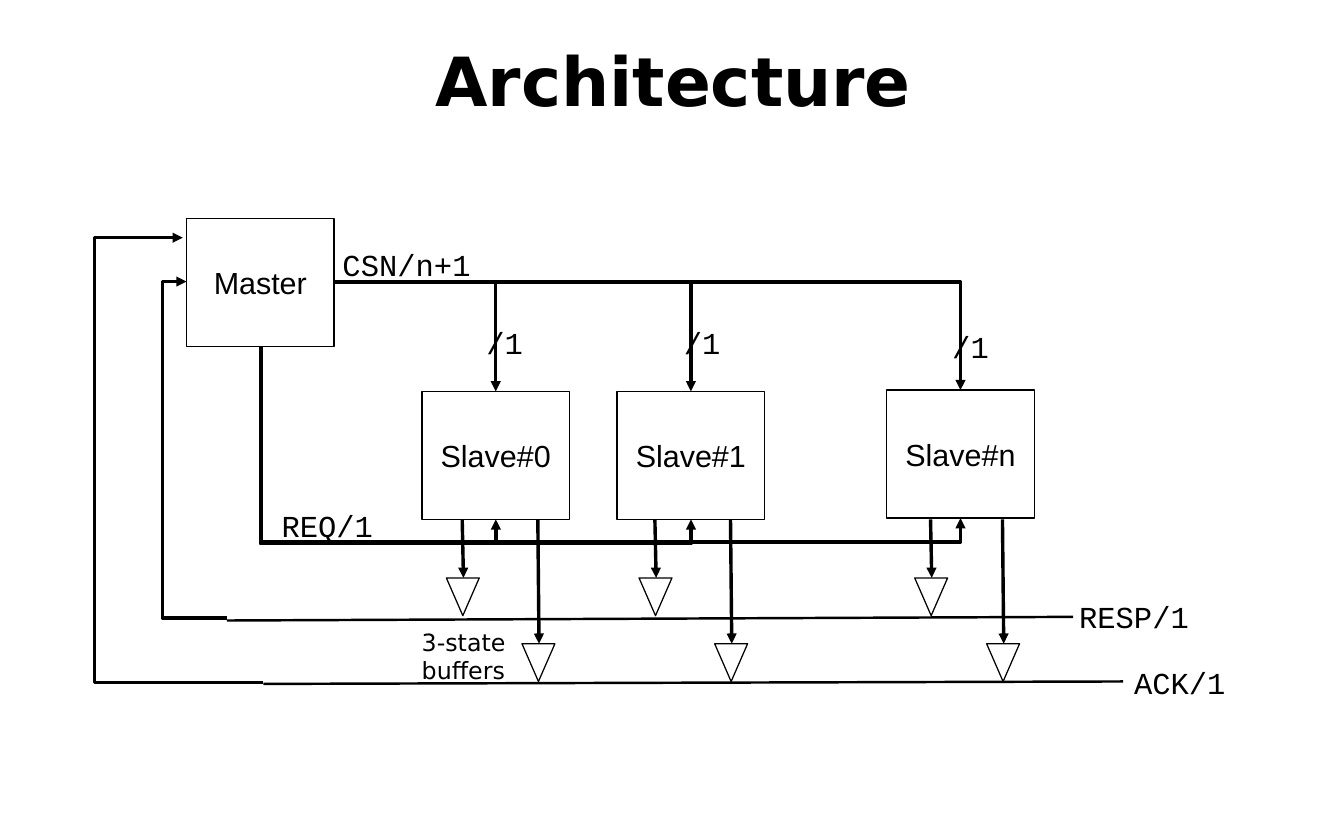
from pptx import Presentation
from pptx.dml.color import RGBColor
from pptx.enum.shapes import MSO_CONNECTOR, MSO_SHAPE
from pptx.enum.text import MSO_ANCHOR, PP_ALIGN
from pptx.oxml.ns import qn
from pptx.util import Inches, Pt
from lxml import etree

RECT, TRI = MSO_SHAPE.RECTANGLE, MSO_SHAPE.ISOSCELES_TRIANGLE
LINE, BENT = MSO_CONNECTOR.STRAIGHT, MSO_CONNECTOR.ELBOW
CENTER, MIDDLE = PP_ALIGN.CENTER, MSO_ANCHOR.MIDDLE
HEX = {"ink": "000000", "paper": "FFFFFF"}
INK, PAPER = (RGBColor.from_string(HEX[k]) for k in ("ink", "paper"))
MONO, SANS, PLAIN = "Courier New", "DejaVu Sans", "Arial"
BOX_W, BOX_H = 1.21, 1.05
TRI_W, TRI_H = 0.27, 0.31

prs = Presentation()
prs.slide_width, prs.slide_height = Inches(11.02), Inches(6.89)
slide = prs.slides.add_slide(prs.slide_layouts[6])
shapes = slide.shapes


def put(kind, x, y, w, h, text="", size=18, font=MONO):
    """Add a shape of the given kind, or a text box if kind is None."""
    place = [Inches(v) for v in (x, y, w, h)]
    if kind is None:
        item = shapes.add_textbox(*place)
        item.text_frame.word_wrap = False
    else:
        item = shapes.add_shape(kind, *place)
        item.shadow.inherit = False
        item.fill.solid()
        item.fill.fore_color.rgb = PAPER
        item.line.color.rgb = INK
        item.line.width = Pt(0)
        item.text_frame.vertical_anchor = MIDDLE
    if text:
        item.text_frame.text = text
        for para in item.text_frame.paragraphs:
            para.font.size, para.font.name = Pt(size), font
            para.font.color.rgb = INK
            if kind is not None:
                para.alignment = CENTER
    return item


def wire(kind, x1, y1, x2, y2, width=0, arrow=True, bend=None):
    """Add a line; bend is the elbow position as a share of the width."""
    item = shapes.add_connector(kind, *[Inches(v) for v in (x1, y1, x2, y2)])
    item.line.color.rgb = INK
    item.line.width = Pt(width)
    props = item._element.spPr
    if arrow:
        etree.SubElement(props.find(qn("a:ln")), qn("a:tailEnd"), type="triangle")
    etree.SubElement(props, qn("a:effectLst"))
    if bend:
        guides = props.find(qn("a:prstGeom")).find(qn("a:avLst"))
        etree.SubElement(guides, qn("a:gd"), name="adj1",
                         fmla=f"val {round(bend * 100000)}")
    return item


# Title
title = put(None, 0.37, 0.27, 10.3, 0.76, "Architecture", 40, SANS)
frame = title.text_frame
frame.word_wrap = True
frame.vertical_anchor = MIDDLE
frame.margin_left = frame.margin_right = frame.margin_top = frame.margin_bottom = 0
frame.paragraphs[0].alignment = CENTER
frame.paragraphs[0].font.bold = True

# Master and shared bus lines
master = put(RECT, 1.53, 1.79, BOX_W, BOX_H, "Master", font=PLAIN)
wire(LINE, 1.86, 5.09, 8.8, 5.06, 1.45, False)
wire(LINE, 2.16, 5.61, 9.21, 5.59, 1.45, False)

# Slaves: name, left, top, RESP tap, ACK tap, label left, label top
slaves = [
    ("Slave#0", 3.46, 3.21, 3.79, 4.41, 3.89, 2.61),
    ("Slave#1", 5.06, 3.21, 5.37, 5.99, 5.51, 2.61),
    ("Slave#n", 7.27, 3.2, 7.63, 8.22, 7.71, 2.64),
]
REQ_X, REQ_Y = 2.14, 2.84
for name, x, y, resp, ack, tag_x, tag_y in slaves:
    slave = put(RECT, x, y, BOX_W, BOX_H, name, font=PLAIN)
    mid, foot = x + BOX_W / 2, y + BOX_H

    # Chip select from the master's right side to the slave's top
    select = wire(BENT, 2.74, 2.31, mid, y)
    select._element.spPr.find(qn("a:prstGeom")).set("prst", "bentConnector2")
    select.begin_connect(master, 3)
    select.end_connect(slave, 0)
    put(None, tag_x, tag_y, 0.5, 0.35, "/1")

    # Request from below the master up to the slave: an elbow turned by 270
    drop, span = foot - REQ_Y, mid - REQ_X
    cx, cy = (REQ_X + mid) / 2, (REQ_Y + foot) / 2
    request = wire(BENT, cx + drop / 2, cy - span / 2,
                   cx - drop / 2, cy + span / 2, bend=1.14)
    request._element.spPr.find(qn("a:xfrm")).set("rot", "16200000")

    # Three-state buffers on both buses
    for tap, top in ((resp, 4.74), (ack, 5.28)):
        put(TRI, tap - 0.13, top, TRI_W, TRI_H).rotation = 180
        wire(LINE, tap, 4.26, tap + 0.01, top)

# Return paths to the master
wire(BENT, 1.86, 5.07, 1.53, 2.31, bend=1.6)
wire(BENT, 2.16, 5.6, 1.5, 1.95, bend=2.1)

# Signal names
for text, x, y, w in (("CSN/n+1", 2.71, 1.97, 1.25), ("REQ/1", 2.21, 4.11, 0.95),
                      ("RESP/1", 8.75, 4.86, 1.1), ("ACK/1", 9.2, 5.4, 0.95)):
    put(None, x, y, w, 0.35, text)
put(None, 3.36, 5.1, 0.9, 0.63, "3-state\nbuffers", 14, SANS)

prs.save("out.pptx")
